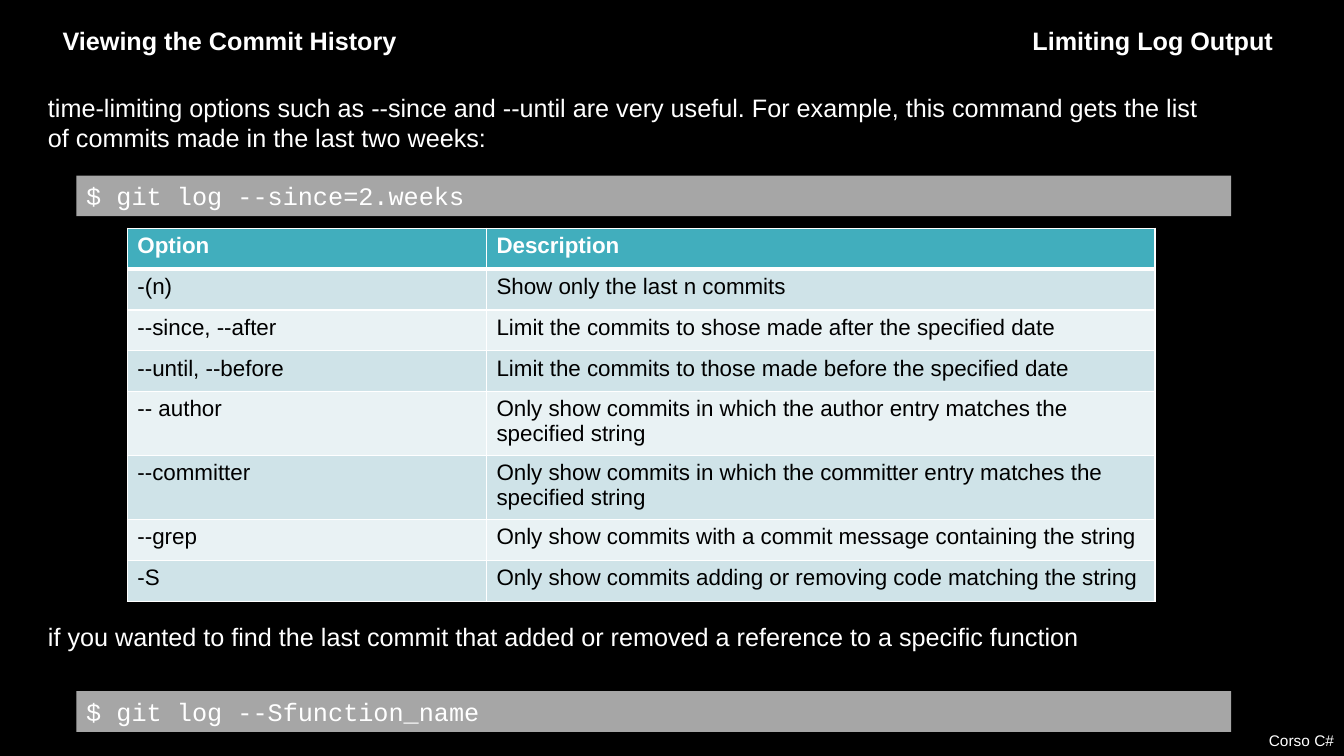
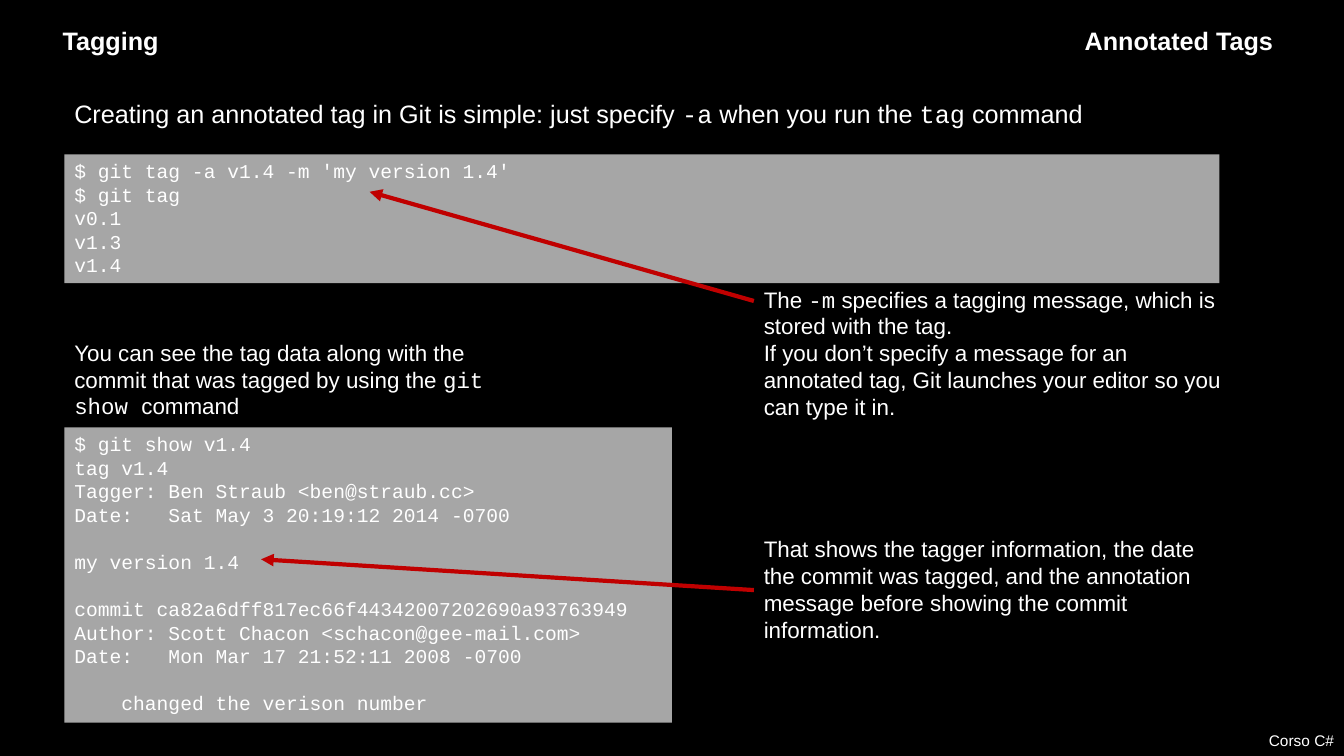
from dataclasses import dataclass

import pptx
import pptx.dml.color
import pptx.enum.shapes
import pptx.enum.text
import pptx.oxml.ns
import pptx.util
from lxml import etree

Pt = pptx.util.Pt
RGB = pptx.dml.color.RGBColor.from_string
ALIGN = pptx.enum.text.PP_ALIGN
qn = pptx.oxml.ns.qn


@dataclass(frozen=True)
class Theme:
    # Colours
    background: str = "000000"
    text: str = "FFFFFF"
    code_fill: str = "A6A6A6"
    arrow: str = "C00000"
    header_fill: str = "41AEBD"
    band_fills: tuple = ("CFE3E8", "E9F2F4")
    cell_text: str = "000000"
    border: str = "FFFFFF"
    # Fonts and sizes
    font: str = "Arial"
    code_font: str = "Courier New"
    body: int = 18
    note: int = 16
    listing: int = 14
    footer: int = 11
    # Height of a blank code line relative to its size
    blank_line: float = 1.2


T = Theme()
WIDTH, HEIGHT = 960, 540
CODE_WIDTH = 825

OPTIONS = [
    ("Option", "Description"),
    ("-(n)", "Show only the last n commits"),
    ("--since, --after", "Limit the commits to shose made after the specified date"),
    ("--until, --before", "Limit the commits to those made before the specified date"),
    ("-- author", "Only show commits in which the author entry matches the specified string"),
    ("--committer", "Only show commits in which the committer entry matches the specified string"),
    ("--grep", "Only show commits with a commit message containing the string"),
    ("-S", "Only show commits adding or removing code matching the string"),
]

TAG_CODE = """$ git tag -a v1.4 -m 'my version 1.4'
$ git tag
v0.1
v1.3
v1.4"""

SHOW_CODE = """$ git show v1.4
tag v1.4
Tagger: Ben Straub <ben@straub.cc>
Date:   Sat May 3 20:19:12 2014 -0700

my version 1.4

commit ca82a6dff817ec66f44342007202690a93763949
Author: Scott Chacon <schacon@gee-mail.com>
Date:   Mon Mar 17 21:52:11 2008 -0700

    changed the verison number"""


# Text
def style(p, size, color=T.text, font=T.font, bold=False, align=ALIGN.LEFT):
    p.alignment = align
    p.font.name = font
    p.font.size = Pt(size)
    p.font.bold = bold
    p.font.color.rgb = RGB(color)


def paragraphs(tf, count):
    """Return the first paragraph of a frame and as many new ones as needed."""
    return [tf.paragraphs[0]] + [tf.add_paragraph() for _ in range(count - 1)]


def add_text(s, x, y, w, h, lines, size, **look):
    """Add a text box; words between backticks are set in the code font."""
    box = s.shapes.add_textbox(Pt(x), Pt(y), Pt(w), Pt(h))
    tf = box.text_frame
    tf.word_wrap = True
    for p, line in zip(paragraphs(tf, len(lines)), lines):
        for i, part in enumerate(line.split("`")):
            r = p.add_run()
            r.text = part
            if i % 2:
                r.font.name = T.code_font
        style(p, size, **look)
    return box


def add_code(s, x, y, w, h, code, size):
    """Add a grey code panel; a blank line becomes space before the next one."""
    sp = s.shapes.add_shape(pptx.enum.shapes.MSO_SHAPE.RECTANGLE,
                            Pt(x), Pt(y), Pt(w), Pt(h))
    sp.shadow.inherit = False
    sp.fill.solid()
    sp.fill.fore_color.rgb = RGB(T.code_fill)
    sp.line.fill.background()
    tf = sp.text_frame
    tf.word_wrap = True
    tf.vertical_anchor = pptx.enum.text.MSO_ANCHOR.TOP
    lines = code.split("\n")
    shown = [(line, i > 0 and not lines[i - 1])
             for i, line in enumerate(lines) if line]
    for p, (line, after_blank) in zip(paragraphs(tf, len(shown)), shown):
        p.text = line
        style(p, size, font=T.code_font)
        if after_blank:
            p.space_before = Pt(round(size * T.blank_line, 1))


# Arrows
def add_arrow(s, start, end):
    line = s.shapes.add_connector(pptx.enum.shapes.MSO_CONNECTOR.STRAIGHT,
                                  *(Pt(v) for v in start + end))
    line.line.color.rgb = RGB(T.arrow)
    line.line.width = Pt(3)
    etree.SubElement(line.line._get_or_add_ln(), qn("a:tailEnd"), type="triangle")
    etree.SubElement(line._element.spPr, qn("a:effectLst"))
    return line


# Table
def add_borders(cell, top, bottom):
    tc_pr = cell._tc.get_or_add_tcPr()
    for side, width in (("L", 1), ("R", 1), ("T", top), ("B", bottom)):
        ln = etree.SubElement(tc_pr, qn(f"a:ln{side}"), w=str(Pt(width)))
        fill = etree.SubElement(ln, qn("a:solidFill"))
        etree.SubElement(fill, qn("a:srgbClr"), val=T.border)


def add_option_table(s, x, y, widths, row_heights, rows):
    table = s.shapes.add_table(len(rows), len(widths), Pt(x), Pt(y),
                               Pt(sum(widths)), Pt(sum(row_heights))).table
    for column, width in zip(table.columns, widths):
        column.width = Pt(width)
    for i, (row, height) in enumerate(zip(rows, row_heights)):
        table.rows[i].height = Pt(height)
        header = i == 0
        for j, text in enumerate(row):
            cell = table.cell(i, j)
            add_borders(cell, 3 if i == 1 else 1, 3 if header else 1)
            cell.fill.solid()
            cell.fill.fore_color.rgb = RGB(
                T.header_fill if header else T.band_fills[(i - 1) % 2])
            cell.text = text
            style(cell.text_frame.paragraphs[0], T.note, bold=header,
                  color=T.text if header else T.cell_text)


# Shared frame of every slide
def add_slide(prs, title, topic):
    s = prs.slides.add_slide(prs.slide_layouts.get_by_name("Title Only"))
    sp = s.shapes.title
    sp.left, sp.top, sp.width, sp.height = Pt(37.5), Pt(14.4), Pt(400), Pt(29)
    tf = sp.text_frame
    tf.text = title
    tf.auto_size = pptx.enum.text.MSO_AUTO_SIZE.NONE
    tf.vertical_anchor = pptx.enum.text.MSO_ANCHOR.TOP
    style(tf.paragraphs[0], T.body, bold=True)
    add_text(s, 470, 14.4, 446.5, 29, [topic], T.body, bold=True, align=ALIGN.RIGHT)
    add_text(s, 0, 519, WIDTH, 21, ["Corso C#"], T.footer, align=ALIGN.RIGHT)
    return s


# Slides
def add_log_slide(prs):
    s = add_slide(prs, "Viewing the Commit History", "Limiting Log Output")
    text_x, text_width, code_x = 27.2, 853, 54.5
    add_text(s, text_x, 62.5, text_width, 51,
             ["time-limiting options such as --since and --until are very useful. "
              "For example, this command gets the list of commits made in the last "
              "two weeks:"], T.body)
    add_code(s, code_x, 125.5, CODE_WIDTH, 29, "$ git log --since=2.weeks", T.body)
    single, double = 29.2, 45.7
    add_option_table(s, 91, 163, (256.5, 477.5),
                     [single] * 4 + [double] * 2 + [single] * 2, OPTIONS)
    add_text(s, text_x, 440.5, text_width, 29,
             ["if you wanted to find the last commit that added or removed a "
              "reference to a specific function"], T.body)
    add_code(s, code_x, 493.7, CODE_WIDTH, 29, "$ git log --Sfunction_name", T.body)


def add_tag_slide(prs):
    s = add_slide(prs, "Tagging", "Annotated Tags")
    left, note_x, note_width = 46, 538.5, 348.5
    add_text(s, left, 67, CODE_WIDTH, 29,
             ["Creating an annotated tag in Git is simple: just specify `-a` when "
              "you run the `tag` command"], T.body)
    add_code(s, left, 110.2, CODE_WIDTH, 92, TAG_CODE, T.listing)
    add_text(s, left, 238.5, 322, 65.5,
             ["You can see the tag data along with the commit that was tagged by "
              "using the `git show `command"], T.note)
    add_code(s, left, 305.3, 434, 211, SHOW_CODE, T.listing)

    # Notes with their arrows
    add_text(s, note_x, 200.5, note_width, 104,
             ["The `-m` specifies a tagging message, which is stored with the tag.",
              "If you don’t specify a message for an annotated tag, Git launches "
              "your editor so you can type it in."], T.note)
    add_arrow(s, (note_x, 215), (264, 137))
    note = add_text(s, note_x, 379, note_width, 85,
                    ["That shows the tagger information, the date the commit was "
                     "tagged, and the annotation message before showing the commit "
                     "information."], T.note)
    arrow = add_arrow(s, (note_x, 421.5), (186.5, 399.5))
    arrow.begin_connect(note, 1)


def main():
    prs = pptx.Presentation()
    prs.slide_width, prs.slide_height = Pt(WIDTH), Pt(HEIGHT)
    fill = prs.slide_master.background.fill
    fill.solid()
    fill.fore_color.rgb = RGB(T.background)
    add_log_slide(prs)
    add_tag_slide(prs)
    prs.save("out.pptx")


if __name__ == "__main__":
    main()
